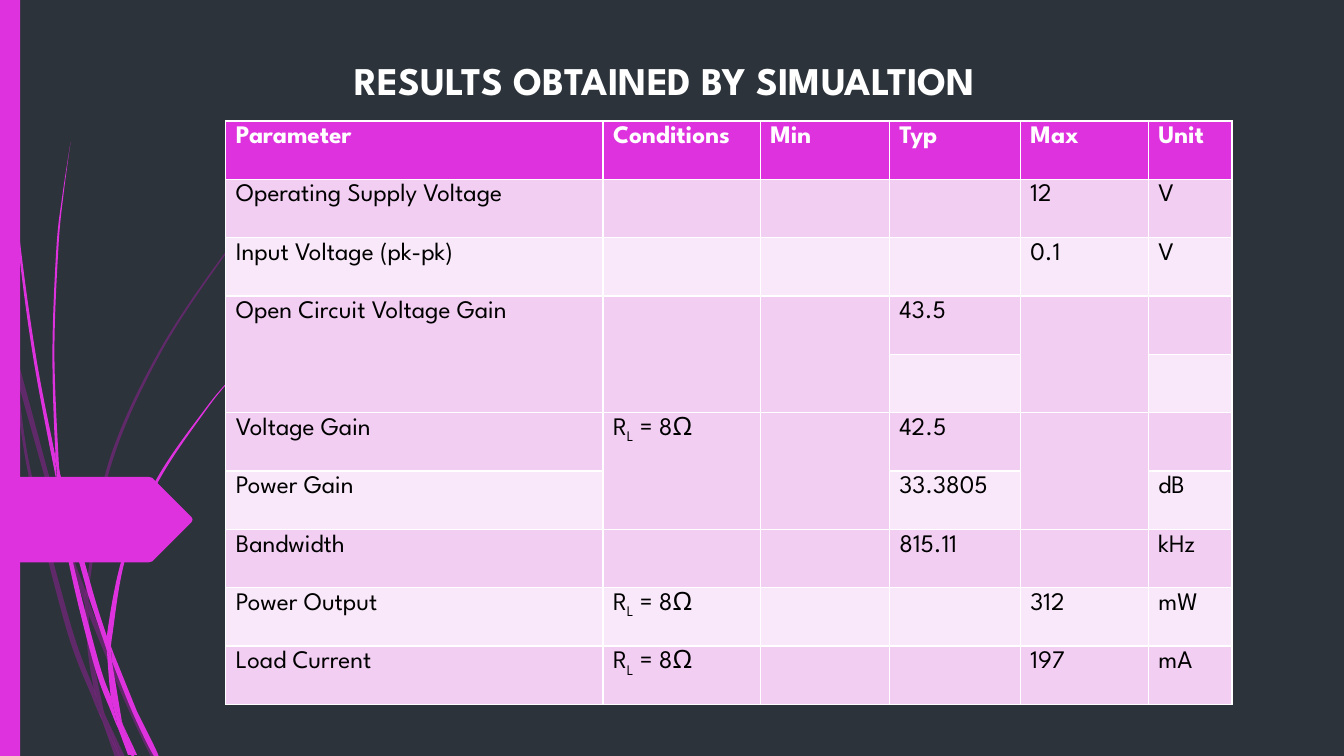
from lxml.etree import SubElement
from pptx import Presentation
from pptx.dml.color import RGBColor
from pptx.enum.shapes import MSO_SHAPE
from pptx.enum.text import MSO_ANCHOR, MSO_AUTO_SIZE, PP_ALIGN
from pptx.oxml.ns import qn
from pptx.util import Pt

PX = 9144  # 100 px to the inch
FONT = "League Spartan"
BACKGROUND, ACCENT, DIM_ACCENT = "2C333A", "DE32DE", "B01CB0"
WHITE, BLACK = "FFFFFF", "000000"
BANDS = ["F9E8F9", "F2CEF2"]

# Each blade of grass is made of pieces; a piece has an edge out and an edge back
DIM_PIECES = [
    ([(11, 350), (9, 322), (0, 282)], [(0, 299), (10, 344)]),
    ([(58, 522), (84, 599)], [(85, 586), (62, 520), (14, 345), (17, 376)]),
    ([(92, 607), (88, 596)], [(88, 610), (123, 694), (150, 751), (155, 751), (127, 692)]),
    ([(119, 751), (124, 751)], [(105, 711)]),
    ([(93, 683), (70, 619), (31, 469), (17, 376), (11, 350)],
     [(11, 350), (28, 470), (65, 621), (92, 693), (101, 714), (99, 707)]),
    ([(84, 599), (87, 646), (93, 683), (96, 692), (105, 711)],
     [(103, 706), (91, 646), (88, 610), (88, 608)]),
    ([(88, 584), (110, 462), (160, 349), (229, 245), (268, 198), (290, 175), (312, 154)],
     [(312, 153), (289, 175), (268, 197), (228, 244), (158, 348), (107, 461), (85, 584),
      (85, 586), (88, 596)]),
    ([(101, 714), (114, 751)], [(119, 751)]),
    ([(88, 608), (88, 610)], [(88, 596), (85, 586), (84, 599)]),
    ([(96, 692), (93, 683)], [(99, 707), (101, 714), (119, 751), (105, 711)]),
]
BRIGHT_PIECES = [
    ([(7, 110), (17, 233), (33, 355), (56, 477), (57, 481)],
     [(55, 457), (55, 453), (36, 355), (19, 232), (8, 109), (5, 48), (4, 0), (3, 0), (4, 48)]),
    ([(88, 592), (106, 645)], [(106, 633), (106, 631), (93, 590), (60, 472), (64, 505)]),
    ([(113, 649), (110, 641)], [(111, 656), (132, 708), (152, 749), (157, 749), (136, 706)]),
    ([(110, 691), (98, 657), (72, 556), (64, 505), (57, 477)],
     [(57, 477), (68, 557), (93, 659), (111, 708), (117, 722), (116, 717)]),
    ([(60, 472), (58, 453), (54, 349), (58, 245), (63, 193), (70, 141)],
     [(70, 141), (62, 193), (56, 245), (52, 349), (55, 449), (60, 472)]),
    ([(133, 749), (136, 749)], [(122, 719)]),
    ([(57, 477), (64, 505)], [(60, 472), (55, 449), (55, 453)]),
    ([(111, 633), (125, 552), (158, 476), (205, 406), (231, 374), (245, 359), (261, 344)],
     [(260, 344), (245, 358), (231, 373), (204, 405), (156, 474), (122, 551), (106, 631),
      (110, 641)]),
    ([(117, 722), (127, 749)], [(131, 749)]),
    ([(106, 645), (110, 691), (116, 706), (122, 719)], [(121, 716), (111, 656), (109, 651)]),
    ([(106, 645), (109, 651), (111, 656)], [(110, 641), (106, 631), (106, 633)]),
    ([(116, 706), (110, 691)], [(116, 717), (117, 722), (130, 749), (133, 749), (122, 719)]),
]

COLUMN_WIDTHS = [374, 156, 128, 130, 127, 83]
TABLE_HEIGHT = 579
LOAD = "R_L_ = 8Ω"  # underscores enclose the subscript
RESULTS = [
    ["Parameter", "Conditions", "Min", "Typ", "Max", "Unit"],
    ["Operating Supply Voltage", "", "", "", "12", "V"],
    ["Input Voltage (pk-pk)", "", "", "", "0.1", "V"],
    ["Open Circuit Voltage Gain", "", "", "43.5", "", ""],
    ["", "", "", "", "", ""],
    ["Voltage Gain", LOAD, "", "42.5", "", ""],
    ["Power Gain", "", "", "33.3805", "", "dB"],
    ["Bandwidth", "", "", "815.11", "", "kHz"],
    ["Power Output", LOAD, "", "", "312", "mW"],
    ["Load Current", LOAD, "", "", "197", "mA"],
]
# First row of each two-row merge, with its columns
MERGES = {3: [0, 1, 2, 4], 5: [1, 2, 4]}


def color(hex_value):
    return RGBColor.from_string(hex_value)


def format_run(run, size, hex_value, bold):
    run.font.name = FONT
    run.font.size = Pt(size)
    run.font.bold = bold
    run.font.color.rgb = color(hex_value)


def paint(shape, hex_value, opacity=100):
    shape.shadow.inherit = False
    shape.fill.solid()
    shape.fill.fore_color.rgb = color(hex_value)
    shape.line.fill.background()
    if opacity < 100:
        color_element = shape.fill._xPr.find(qn("a:solidFill"))[0]
        SubElement(color_element, qn("a:alpha"), val=str(opacity * 1000))


def add_outline(shapes, points, hex_value, opacity=100):
    corners = [(round(x * PX), round(y * PX)) for x, y in points]
    builder = shapes.build_freeform(*corners[0])
    builder.add_line_segments(corners[1:], close=True)
    outline = builder.convert_to_shape()
    paint(outline, hex_value, opacity)
    return outline


def bezier_points(edge):
    """Two handles and an end point for each stretch of a smooth edge."""
    padded = [edge[0], *edge, edge[-1]]
    points = []
    for a, b, c, d in zip(padded, padded[1:], padded[2:], padded[3:]):
        points += [(b[0] + (c[0] - a[0]) / 6, b[1] + (c[1] - a[1]) / 6),
                   (c[0] - (d[0] - b[0]) / 6, c[1] - (d[1] - b[1]) / 6), c]
    return points


def add_curved_piece(shapes, edge_out, edge_back, hex_value, opacity):
    bridge = [edge_out[-1], edge_back[0], edge_back[0]]
    points = [edge_out[0], *bezier_points(edge_out), *bridge, *bezier_points(edge_back)]
    outline = add_outline(shapes, points, hex_value, opacity)
    # Join every three line segments into one cubic curve
    segments = list(outline._element.iter(qn("a:lnTo")))
    for start in range(0, len(segments), 3):
        first = segments[start]
        curve = SubElement(first.getparent(), qn("a:cubicBezTo"))
        first.addprevious(curve)
        for segment in segments[start:start + 3]:
            curve.append(segment[0])
            segment.getparent().remove(segment)


def add_grass(slide, pieces, hex_value, opacity=100):
    group = slide.shapes.add_group_shape()
    for edge_out, edge_back in pieces:
        add_curved_piece(group.shapes, edge_out, edge_back, hex_value, opacity)


def add_side_bar(slide, left, top, width, height):
    bar = slide.shapes.add_shape(
        MSO_SHAPE.RECTANGLE, left * PX, top * PX, width * PX, height * PX)
    paint(bar, ACCENT)


def add_tag(slide, left, top, width, height):
    # Upper half of the pointed tag, mirrored for the lower half
    upper = [(0, 0), (width - 44, 0), (width - 40, 1), (width - 1, height // 2 - 2)]
    lower = [(x, height - y) for x, y in reversed(upper)]
    points = upper + [(width, height / 2)] + lower
    add_outline(slide.shapes, [(left + x, top + y) for x, y in points], ACCENT)


def add_title(slide, left, top, width, height):
    title = slide.shapes.title
    title.left, title.top = left * PX, top * PX
    title.width, title.height = width * PX, height * PX
    frame = title.text_frame
    frame.text = "RESULTS OBTAINED BY SIMUALTION"
    frame.word_wrap = True
    frame.auto_size = MSO_AUTO_SIZE.NONE
    frame.vertical_anchor = MSO_ANCHOR.TOP
    paragraph = frame.paragraphs[0]
    paragraph.alignment = PP_ALIGN.CENTER
    paragraph.space_before = Pt(10)
    format_run(paragraph.runs[0], 28, WHITE, True)


def fill_cell(cell, text, row):
    header = row == 0
    cell.fill.solid()
    cell.fill.fore_color.rgb = color(ACCENT if header else BANDS[row % 2])
    if not text:
        return
    paragraph = cell.text_frame.paragraphs[0]
    for index, piece in enumerate(text.split("_")):
        run = paragraph.add_run()
        run.text = piece
        format_run(run, 18, WHITE if header else BLACK, header)
        if index == 1:
            run._r.get_or_add_rPr().set("baseline", "-25000")


def add_results_table(slide, left, top):
    # The default table style supplies the white rules
    table = slide.shapes.add_table(
        len(RESULTS), len(COLUMN_WIDTHS), left * PX, top * PX,
        sum(COLUMN_WIDTHS) * PX, TABLE_HEIGHT * PX).table
    for column, width in zip(table.columns, COLUMN_WIDTHS):
        column.width = width * PX
    for row, texts in enumerate(RESULTS):
        for column, text in enumerate(texts):
            fill_cell(table.cell(row, column), text, row)
    for row, columns in MERGES.items():
        for column in columns:
            table.cell(row, column).merge(table.cell(row + 1, column))


def main():
    presentation = Presentation()
    presentation.slide_width, presentation.slide_height = 1333 * PX, 750 * PX
    slide = presentation.slides.add_slide(presentation.slide_layouts[5])
    slide.background.fill.solid()
    slide.background.fill.fore_color.rgb = color(BACKGROUND)

    # Decoration on the left
    add_grass(slide, DIM_PIECES, DIM_ACCENT, 40)
    add_grass(slide, BRIGHT_PIECES, ACCENT)
    add_side_bar(slide, 0, 0, 20, 750)
    add_tag(slide, 0, 473, 191, 85)

    # Heading and results
    add_title(slide, 172, 51, 975, 123)
    add_results_table(slide, 224, 120)
    presentation.save("out.pptx")


if __name__ == "__main__":
    main()
